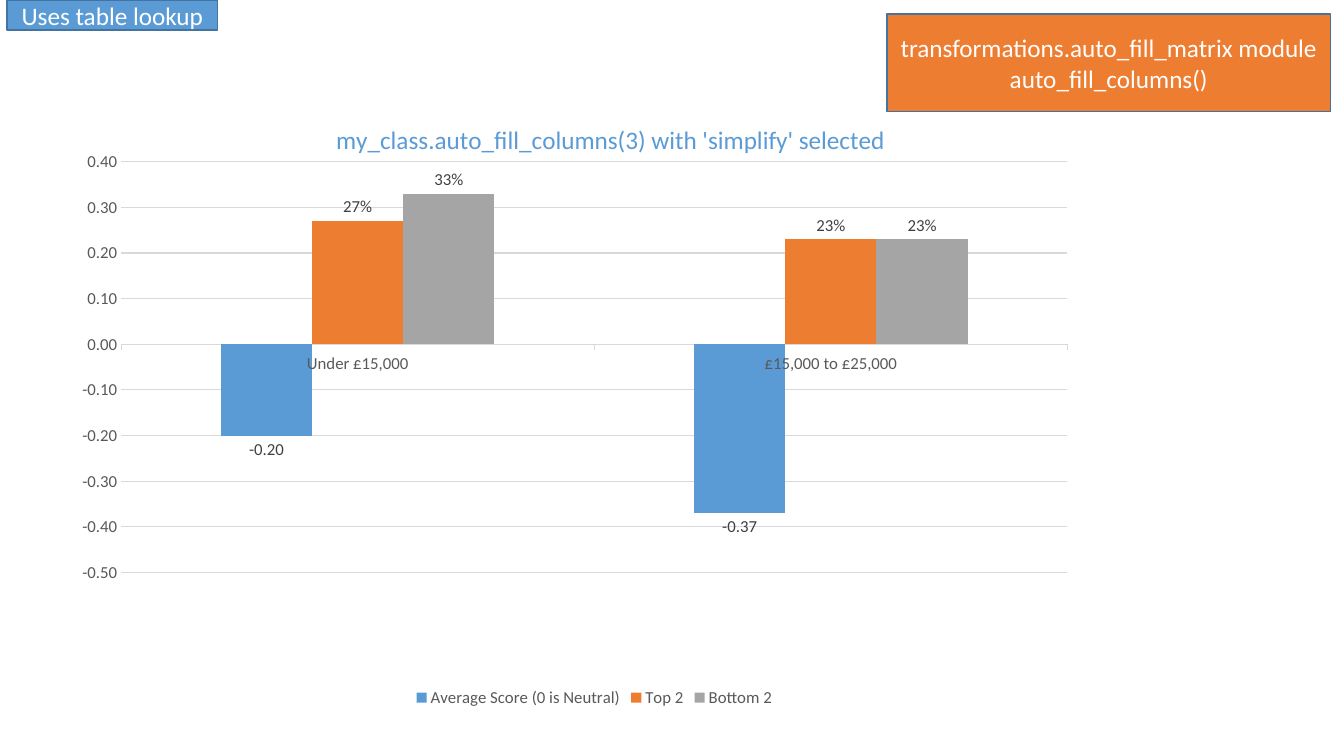
from lxml import etree
from pptx import Presentation
from pptx import util as u
from pptx.chart.data import CategoryChartData
from pptx.dml.color import RGBColor
from pptx.enum import chart as ch
from pptx.enum import shapes, text
from pptx.oxml.ns import qn

FONT = "Calibri"
COLORS = {
    "blue": "5B9BD5", "orange": "ED7D31", "grey": "A5A5A5", "outline": "43739E",
    "white": "FFFFFF", "grid": "D9D9D9", "axis": "595959", "label": "404040",
}
TITLE = "my_class.auto_fill_columns(3) with 'simplify' selected"
CATEGORIES = ["Under £15,000", "£15,000 to £25,000"]
SERIES = [  # name, values, colour, label format
    ("Average Score (0 is Neutral)", (-0.20, -0.37), "blue", "0.00"),
    ("Top 2", (0.27, 0.23), "orange", "0%"),
    ("Bottom 2", (0.33, 0.23), "grey", "0%"),
]
CHART_BOX = (49, 56.9, 751, 451.4)
BOXES = [  # left, top, width, height, fill, lines
    (633.6, 10, 316.8, 69.8, "orange",
     ["transformations.auto_fill_matrix module", "auto_fill_columns()"]),
    (5, 0, 150.5, 21.6, "blue", ["Uses table lookup"]),
]


def rgb(name):
    """Return the named colour."""
    return RGBColor.from_string(COLORS[name])


def style_font(font, size, color):
    """Set typeface, size and colour of a font."""
    font.name, font.size, font.bold = FONT, u.Pt(size), False
    font.color.rgb = rgb(color)


def style_line(line, color, width):
    """Set colour and width of a line."""
    line.color.rgb = rgb(color)
    line.width = u.Pt(width)


def set_layout(parent, position, **values):
    """Give a chart part a manual layout, as its child at a position."""
    for layout in parent.findall(qn("c:layout")):
        parent.remove(layout)
    layout = etree.Element(qn("c:layout"))
    parent.insert(position, layout)
    manual = etree.SubElement(layout, qn("c:manualLayout"))
    for tag, value in values.items():
        etree.SubElement(manual, qn("c:" + tag)).set("val", str(value))


def add_title(chart):
    """Add the chart title at its own position."""
    frame = chart.chart_title.text_frame
    run = frame.paragraphs[0].add_run()
    run.text = TITLE
    style_font(run.font, 18, "blue")


def place_parts(chart):
    """Place the title and the plot area within the chart."""
    chart_space = chart.category_axis._element.getroottree().getroot()
    set_layout(chart_space.find(".//" + qn("c:title")), 1,
               xMode="edge", yMode="edge", x=0.25, y=0.06)
    set_layout(chart_space.find(".//" + qn("c:plotArea")), 0,
               layoutTarget="inner", xMode="edge", yMode="edge",
               x=0.05, y=0.13, w=0.9, h=0.65)


def style_axes(chart):
    """Format both axes, with the value axis on the right."""
    category, value = chart.category_axis, chart.value_axis
    for axis in (category, value):
        style_font(axis.tick_labels.font, 12, "axis")
        axis.minor_tick_mark = ch.XL_TICK_MARK.NONE
    category.major_tick_mark = ch.XL_TICK_MARK.OUTSIDE
    category.crosses = ch.XL_AXIS_CROSSES.MAXIMUM
    style_line(category.format.line, "grid", 0.75)
    value.major_tick_mark = ch.XL_TICK_MARK.NONE
    value.minimum_scale, value.maximum_scale, value.major_unit = -0.5, 0.4, 0.1
    value.format.line.fill.background()
    style_line(value.major_gridlines.format.line, "grid", 0.75)
    value.tick_labels.number_format = "0.00"
    value.tick_labels.number_format_is_linked = False


def add_score_chart(slide):
    """Add the clustered column chart."""
    data = CategoryChartData()
    data.categories = CATEGORIES
    for name, values, _, number_format in SERIES:
        data.add_series(name, values, number_format)
    chart = slide.shapes.add_chart(ch.XL_CHART_TYPE.COLUMN_CLUSTERED,
                                   *map(u.Pt, CHART_BOX), data).chart
    style_font(chart.font, 12, "axis")
    add_title(chart)
    style_axes(chart)
    place_parts(chart)

    chart.has_legend = True
    chart.legend.position = ch.XL_LEGEND_POSITION.BOTTOM
    chart.legend.include_in_layout = False
    style_font(chart.legend.font, 12, "axis")

    plot = chart.plots[0]
    plot.gap_width, plot.overlap, plot.vary_by_categories = 219, 0, False
    for series, (_, _, color, number_format) in zip(plot.series, SERIES):
        series.invert_if_negative = False
        series.format.fill.solid()
        series.format.fill.fore_color.rgb = rgb(color)
        labels = series.data_labels
        labels.show_value = True
        labels.position = ch.XL_LABEL_POSITION.OUTSIDE_END
        labels.number_format = number_format
        labels.number_format_is_linked = False
        style_font(labels.font, 12, "label")


def add_box(slide, left, top, width, height, fill, lines):
    """Add a filled rectangle with centred text."""
    shape = slide.shapes.add_shape(shapes.MSO_SHAPE.RECTANGLE,
                                   *map(u.Pt, (left, top, width, height)))
    shape.shadow.inherit = False
    shape.fill.solid()
    shape.fill.fore_color.rgb = rgb(fill)
    style_line(shape.line, "outline", 1)
    frame = shape.text_frame
    frame.word_wrap = True
    frame.vertical_anchor = text.MSO_ANCHOR.MIDDLE
    for index, line in enumerate(lines):
        paragraph = frame.add_paragraph() if index else frame.paragraphs[0]
        paragraph.alignment = text.PP_ALIGN.CENTER
        run = paragraph.add_run()
        run.text = line
        style_font(run.font, 18, "white")


presentation = Presentation()
presentation.slide_width, presentation.slide_height = u.Pt(960), u.Pt(540)
slide = presentation.slides.add_slide(presentation.slide_layouts[6])
add_score_chart(slide)
for box in BOXES:
    add_box(slide, *box)
presentation.save("out.pptx")
